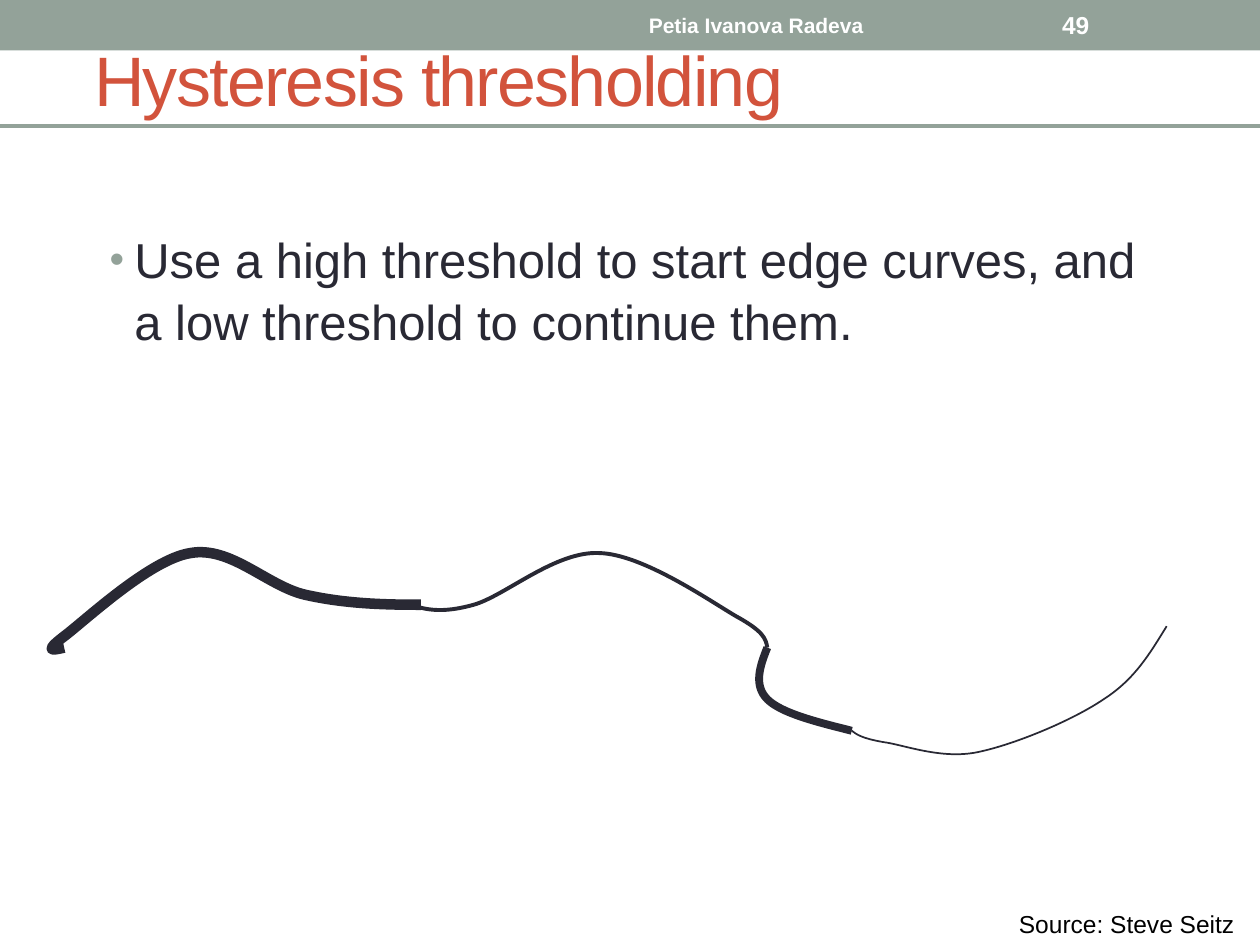
"""Slide on hysteresis thresholding, with an edge curve in strong and weak parts."""
from lxml import etree
from pptx import Presentation
from pptx.dml.color import RGBColor
from pptx.enum import shapes, text
from pptx.oxml import ns
from pptx.util import Cm, Pt

COLORS = {"sage": "93A299", "rust": "D2533C", "ink": "292934", "white": "FFFFFF", "black": "000000"}


def rgb(name):
    return RGBColor.from_string(COLORS[name])


def add_text(words, box, size, color, anchor=text.MSO_ANCHOR.TOP, bold=False):
    frame = slide.shapes.add_textbox(*map(Cm, box)).text_frame
    frame.word_wrap = True
    frame.vertical_anchor = anchor
    frame.text = words
    font = frame.paragraphs[0].runs[0].font
    font.name, font.size, font.bold = "Arial", Pt(size), bold
    font.color.rgb = rgb(color)
    return frame.paragraphs[0]


prs = Presentation()
prs.slide_width, prs.slide_height = Cm(25.4), Cm(19.05)
slide = prs.slides.add_slide(prs.slide_layouts[6])
middle = text.MSO_ANCHOR.MIDDLE

band = slide.shapes.add_shape(shapes.MSO_SHAPE.RECTANGLE, 0, 0, Cm(25.4), Cm(1.02))
band.shadow.inherit = False
band.fill.solid()
band.fill.fore_color.rgb = rgb("sage")
band.line.fill.background()

title = add_text("Hysteresis thresholding", (1.65, 0, 21.59, 3.18), 40, "rust", middle)
title.runs[0].font._element.set("spc", "-100")

advice = add_text(
    "Use a high threshold to start edge curves, and a low threshold to continue them.",
    (1.96, 4.45, 21.59, 11.43), 28, "ink")
advice.line_spacing = 1.05
indent = advice._p.get_or_add_pPr()
indent.set("marL", str(Cm(0.5)))
indent.set("indent", str(-Cm(0.5)))
bullet_color = etree.SubElement(indent, ns.qn("a:buClr"))
etree.SubElement(bullet_color, ns.qn("a:srgbClr"), val=COLORS["sage"])
etree.SubElement(indent, ns.qn("a:buSzPct"), val="85000")
etree.SubElement(indent, ns.qn("a:buFont"), typeface="Arial")
etree.SubElement(indent, ns.qn("a:buChar"), char="•")

edge_parts = [
    (6, [(51, 514), (42, 516), (34, 518), (51, 505), (67, 493), (119, 444), (151, 439),
         (183, 433), (212, 465), (242, 472), (273, 479), (303, 480), (334, 480)]),
    (2.25, [(326, 480), (338, 484), (351, 487), (376, 480), (401, 473), (441, 437), (476, 439),
            (510, 440), (562, 476), (584, 489), (606, 501), (608, 507), (609, 514)]),
    (4.5, [(609, 514), (603, 529), (598, 544), (609, 555), (620, 566), (648, 573), (676, 580)]),
    (1, [(676, 580), (680, 583), (684, 586), (701, 589), (717, 591), (747, 603), (776, 597),
         (805, 591), (851, 572), (876, 555), (901, 539), (913, 518), (926, 497)]),
]
for width, points in edge_parts:
    builder = slide.shapes.build_freeform(*points[0], scale=Cm(0.0254))
    builder.add_line_segments(points[1:], close=False)
    edge = builder.convert_to_shape()
    edge.shadow.inherit = False
    edge.fill.background()
    edge.line.color.rgb = rgb("ink")
    edge.line.width = Pt(width)
    segments = list(edge._element.iter(ns.qn("a:lnTo")))
    outline = segments[0].getparent()
    for first in range(0, len(segments), 3):
        curve = etree.SubElement(outline, ns.qn("a:cubicBezTo"))
        for segment in segments[first:first + 3]:
            curve.append(segment[0])
            outline.remove(segment)

add_text("Source: Steve Seitz", (20.29, 18.21, 7.85, 0.86), 14, "black")
author = add_text("Petia Ivanova Radeva", (9.53, 0.05, 11.43, 0.91), 12, "white", middle, True)
author.alignment = text.PP_ALIGN.CENTER
add_text("49", (21.16, 0.05, 2.97, 0.91), 14, "white", middle, True)

rule = slide.shapes.add_connector(shapes.MSO_CONNECTOR.STRAIGHT, 0, Cm(2.54), Cm(25.83), Cm(2.54))
rule.line.color.rgb = rgb("sage")
rule.line.width = Pt(2.08)
etree.SubElement(rule._element.spPr, ns.qn("a:effectLst"))

prs.save("out.pptx")
